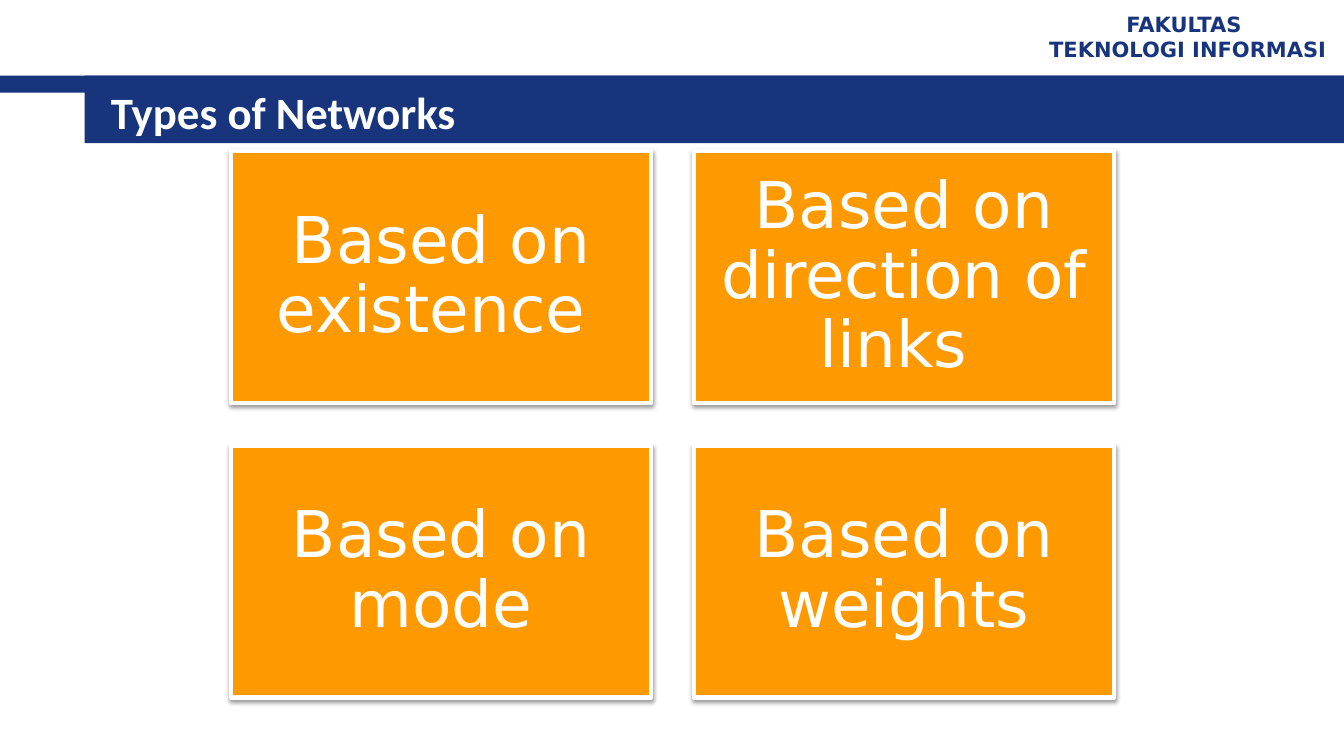
from lxml.etree import SubElement
from pptx import Presentation
from pptx.dml.color import RGBColor
from pptx.enum.shapes import MSO_SHAPE
from pptx.enum.text import MSO_ANCHOR, PP_ALIGN
from pptx.oxml.ns import qn
from pptx.util import Inches, Pt

NAVY, GOLD, WHITE = "17347D", "FF9900", "FFFFFF"


def color(code):
    return RGBColor.from_string(code)


class Deck:
    font = "DejaVu Sans"

    def __init__(self):
        self.prs = Presentation()
        self.prs.slide_width = Inches(13.33)
        self.prs.slide_height = Inches(7.5)
        self.slide = self.prs.slides.add_slide(self.prs.slide_layouts[5])

    def set_text(self, shape, text, size, code, bold=False, font=None,
                 align=PP_ALIGN.CENTER, space=None):
        frame = shape.text_frame
        frame.text = text
        frame.word_wrap = True
        frame.vertical_anchor = MSO_ANCHOR.MIDDLE
        for para in frame.paragraphs:
            para.alignment = align
            para.line_spacing = space
            for run in para.runs:
                run.font.name = font or self.font
                run.font.size = Pt(size)
                run.font.bold = bold
                run.font.color.rgb = color(code)

    def rect(self, x, y, w, h, fill):
        shape = self.slide.shapes.add_shape(
            MSO_SHAPE.RECTANGLE, Inches(x), Inches(y), Inches(w), Inches(h))
        shape.fill.solid()
        shape.fill.fore_color.rgb = color(fill)
        shape.line.fill.background()
        shape.shadow.inherit = False
        return shape

    def label(self, x, y, w, h, text, size, code):
        box = self.slide.shapes.add_textbox(
            Inches(x), Inches(y), Inches(w), Inches(h))
        self.set_text(box, text, size, code, bold=True)

    def title(self, x, y, w, h, text):
        head = self.slide.shapes.title
        head.left, head.top = Inches(x), Inches(y)
        head.width, head.height = Inches(w), Inches(h)
        self.set_text(head, text, 32, WHITE, True, "Calibri", PP_ALIGN.LEFT)
        # Bring the title in front of the bars
        self.slide.shapes._spTree.append(head._element)

    def shade(self, shape):
        effect = shape._element.spPr.find(qn("a:effectLst"))
        outer = SubElement(effect, qn("a:outerShdw"), blurRad=str(Pt(3.1)),
                           dist=str(Pt(1.6)), dir="5400000", rotWithShape="0")
        tint = SubElement(outer, qn("a:srgbClr"), val="000000")
        SubElement(tint, qn("a:alpha"), val="38000")

    def card(self, x, y, w, h, text):
        shape = self.rect(x, y, w, h, GOLD)
        shape.line.color.rgb = color(WHITE)
        shape.line.width = Pt(3)
        self.shade(shape)
        frame = shape.text_frame
        frame.margin_left = frame.margin_right = Inches(0.19)
        frame.margin_top = frame.margin_bottom = Inches(0.19)
        self.set_text(shape, text, 46, WHITE, space=0.9)


def main():
    deck = Deck()

    # Header bars, faculty name and title
    deck.rect(0, 0.75, 13.33, 0.17, NAVY)
    deck.rect(0.84, 0.75, 12.49, 0.67, NAVY)
    deck.label(10.23, 0.05, 3.1, 0.62,
               "FAKULTAS \nTEKNOLOGI INFORMASI", 15, NAVY)
    deck.title(1, 0.8, 11.89, 0.62, "Types of Networks")

    # Two by two grid of network types
    kinds = ["existence ", "direction of links ", "mode", "weights"]
    wide, high, gap = 4.17, 2.5, 0.42
    for i, kind in enumerate(kinds):
        row, col = divmod(i, 2)
        deck.card(2.29 + col * (wide + gap), 1.5 + row * (high + gap),
                  wide, high, "Based on " + kind)

    deck.prs.save("out.pptx")


if __name__ == "__main__":
    main()
